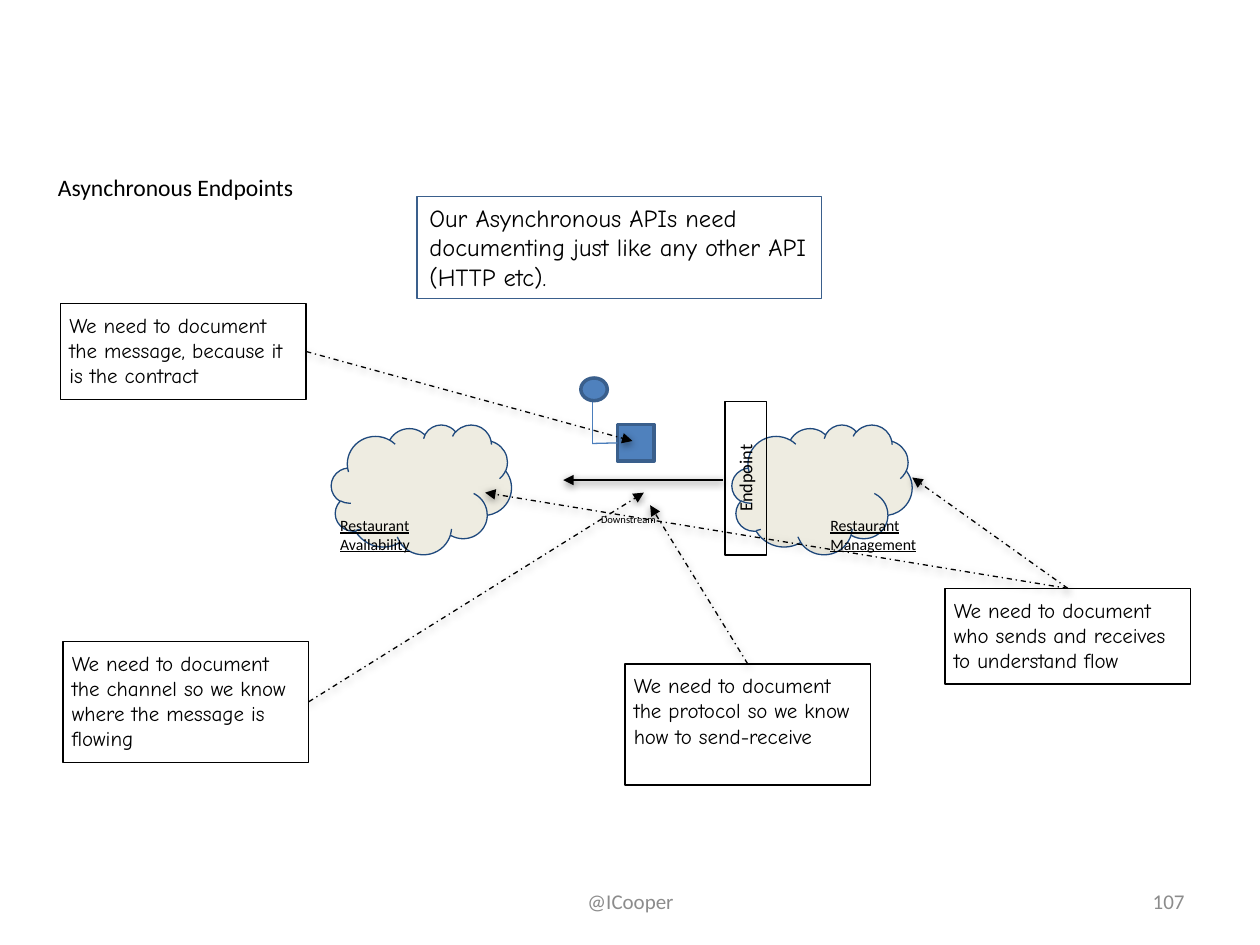
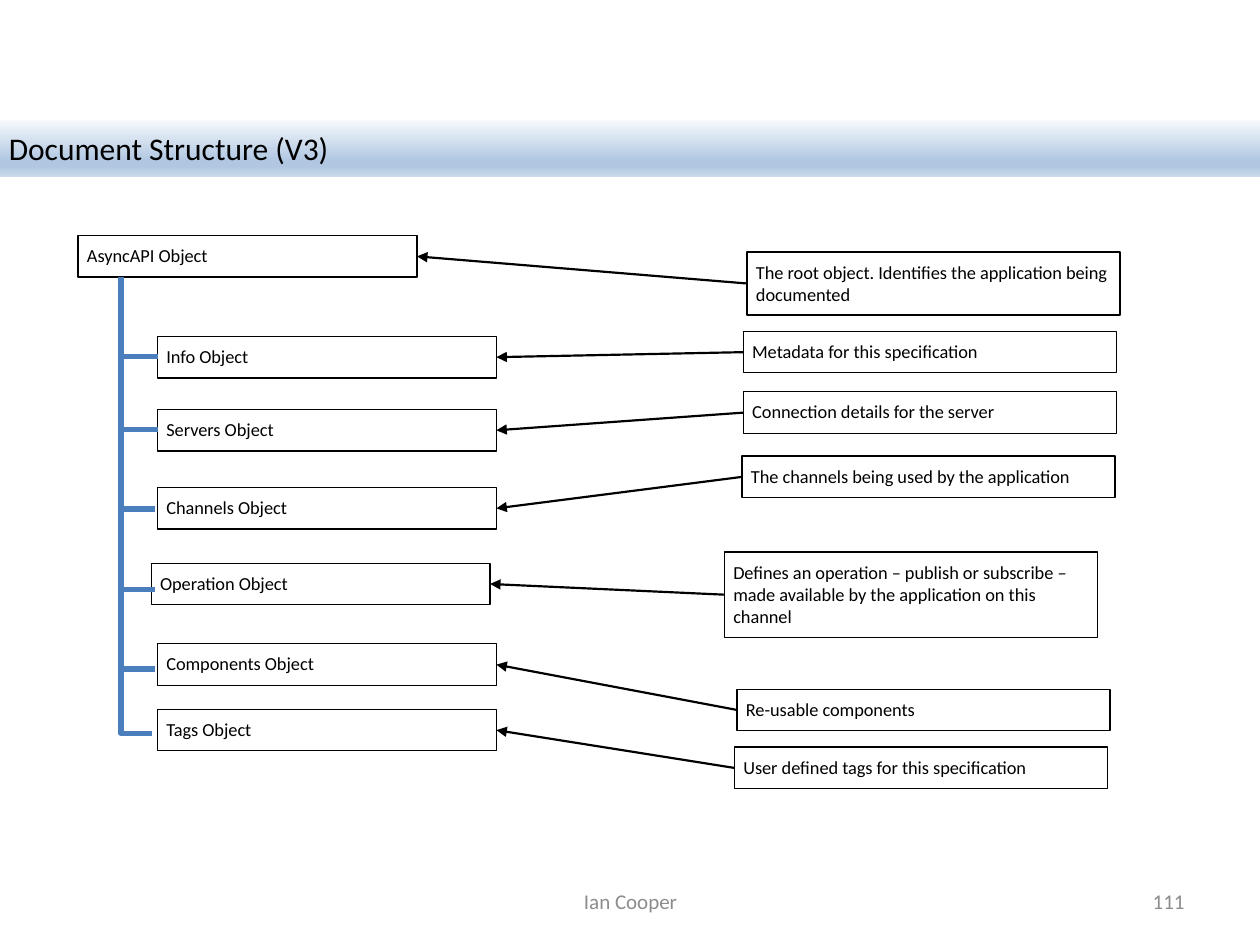
from lxml import etree
from pptx import Presentation
from pptx import util as u
from pptx.dml.color import RGBColor
from pptx.enum import dml, shapes, text
from pptx.oxml import ns

PX = 9144
BLACK = RGBColor(0x00, 0x00, 0x00)
GREY = RGBColor(0x8C, 0x8C, 0x8C)
BLUE = RGBColor(0x4F, 0x81, 0xBD)
BLUE_EDGE = RGBColor(0x3A, 0x5F, 0x8C)
BLUE_LINE = RGBColor(0x4B, 0x7E, 0xBC)
NAVY = RGBColor(0x1F, 0x49, 0x7D)
CREAM = RGBColor(0xEE, 0xEC, 0xE1)
BAND_STOPS = [
    (0, RGBColor(0xF6, 0xF9, 0xFC)),
    (74, RGBColor(0xB0, 0xC6, 0xE1)),
    (83, RGBColor(0xB0, 0xC6, 0xE1)),
    (100, RGBColor(0xCA, 0xD9, 0xEB)),
]
RECTANGLE = shapes.MSO_SHAPE.RECTANGLE
CENTER = text.PP_ALIGN.CENTER

SMALL_INSETS = dict.fromkeys(
    ("margin_left", "margin_top", "margin_right", "margin_bottom"), 7 * PX)
FOOTER_FRAME = {"vertical_anchor": text.MSO_ANCHOR.MIDDLE}

TITLE = {"name": "Calibri", "size": u.Pt(13.5)}
BAND_TITLE = {"name": "Calibri", "size": u.Pt(18)}
LABEL = {"name": "Calibri", "size": u.Pt(10.5)}
CONTEXT_LABEL = {"name": "Calibri", "size": u.Pt(9), "underline": True}
TINY_LABEL = {"name": "Calibri", "size": u.Pt(6)}
FOOTER = {"name": "Calibri", "size": u.Pt(12)}
NOTE = {"name": "Comic Neue", "size": u.Pt(12)}
HEADLINE = {"name": "Comic Neue", "size": u.Pt(14)}

THIN = {"width": u.Pt(0.75)}
MESSAGE_EDGE = {"width": u.Pt(2)}
HEADLINE_EDGE = {"width": u.Pt(1)}
FLOW = {"width": u.Pt(1.5)}
POINTER = {"width": u.Pt(0.75), "dash_style": dml.MSO_LINE.DASH_DOT}
MEANING_ARROW = {"width": u.Pt(1.25)}
BRANCH = {"width": u.Pt(3)}


def apply_format(target, values):
    for name, value in values.items():
        setattr(target, name, value)


def add_element(parent, tag, **attributes):
    return etree.SubElement(parent, ns.qn(tag), attributes)


def write_text(shape, words, font_format, color=BLACK, frame_format=SMALL_INSETS,
               align=text.PP_ALIGN.LEFT):
    frame = shape.text_frame
    apply_format(frame, {"word_wrap": True, "vertical_anchor": text.MSO_ANCHOR.TOP,
                         **frame_format})
    paragraph = frame.paragraphs[0]
    paragraph.alignment = align
    run = paragraph.add_run()
    run.text = words
    apply_format(run.font, font_format)
    run.font.color.rgb = color


def add_text(slide, bounds, words, font_format, **options):
    box = slide.shapes.add_textbox(*(n * PX for n in bounds))
    write_text(box, words, font_format, **options)


def add_shape(slide, kind, bounds, fill=None, edge=BLACK, edge_format=THIN):
    shape = slide.shapes.add_shape(kind, *(n * PX for n in bounds))
    shape.shadow.inherit = False
    if fill is None:
        shape.fill.background()
    else:
        shape.fill.solid()
        shape.fill.fore_color.rgb = fill
    shape.line.color.rgb = edge
    apply_format(shape.line, edge_format)
    return shape


def add_box(slide, bounds, words, font_format, **options):
    box = add_shape(slide, RECTANGLE, bounds)
    write_text(box, words, font_format, **options)
    return box


def add_line(slide, start, end, line_format, color=BLACK, arrow=False, shadow=False,
             kind=shapes.MSO_CONNECTOR.STRAIGHT):
    connector = slide.shapes.add_connector(kind, *(n * PX for n in (*start, *end)))
    connector.line.color.rgb = color
    apply_format(connector.line, line_format)
    properties = connector._element.spPr
    if arrow:
        add_element(properties.find(ns.qn("a:ln")), "a:tailEnd", type="triangle")
    effects = add_element(properties, "a:effectLst")
    if shadow:
        outer = add_element(effects, "a:outerShdw", blurRad=str(u.Pt(4.5)),
                            dist=str(u.Pt(1.5)), dir="5400000", rotWithShape="0")
        shade = add_element(outer, "a:srgbClr", val=str(BLACK))
        add_element(shade, "a:alpha", val="50000")
    return connector


def add_branch(slide, start, end):
    branch = add_line(slide, start, end, BRANCH, BLUE_LINE,
                      kind=shapes.MSO_CONNECTOR.ELBOW)
    guides = branch._element.spPr.find(ns.qn("a:prstGeom")).find(ns.qn("a:avLst"))
    add_element(guides, "a:gd", name="adj1", fmla="val 0")


def add_band(slide, words):
    band = add_shape(slide, RECTANGLE, (0, 95, 1000, 45), fill=BLUE)
    band.line.fill.background()
    band.fill.gradient()
    band.fill.gradient_angle = 270
    stops = band._element.spPr.find(".//" + ns.qn("a:gsLst"))
    for stop in list(stops):
        stops.remove(stop)
    for position, color in BAND_STOPS:
        stop = add_element(stops, "a:gs", pos=str(position * 1000))
        add_element(stop, "a:srgbClr", val=str(color))
    write_text(band, words, BAND_TITLE)


def add_footer(slide, author, number):
    add_text(slide, (342, 695, 317, 40), author, FOOTER, color=GREY,
             frame_format=FOOTER_FRAME, align=CENTER)
    add_text(slide, (717, 695, 233, 40), number, FOOTER, color=GREY,
             frame_format=FOOTER_FRAME, align=text.PP_ALIGN.RIGHT)


def add_message_icon(slide):
    body = add_shape(slide, RECTANGLE, (490, 337, 29, 29), BLUE, BLUE_EDGE, MESSAGE_EDGE)
    stem = add_line(slide, (490, 352), (470, 352), THIN, BLUE_LINE)
    stem.begin_connect(body, 1)
    add_line(slide, (470, 352), (470, 318), THIN, BLUE_LINE)
    add_shape(slide, shapes.MSO_SHAPE.OVAL, (461, 300, 21, 18), BLUE, BLUE_EDGE,
              MESSAGE_EDGE)


def build_endpoints(slide):
    add_text(slide, (39, 130, 649, 38), "Asynchronous Endpoints", TITLE)
    for left in (263, 581):
        add_shape(slide, shapes.MSO_SHAPE.CLOUD, (left, 337, 143, 103), CREAM, NAVY)
    for left, width, words in ((263, 84, "Restaurant Availability"),
                               (652, 98, "Restaurant Management")):
        add_text(slide, (left, 402, width, 45), words, CONTEXT_LABEL)
    add_text(slide, (470, 402, 62, 25), "Downstream", TINY_LABEL)
    add_line(slide, (574, 381), (447, 381), FLOW, arrow=True, shadow=True)
    endpoint = add_box(slide, (531, 363, 122, 33), "Endpoint", LABEL, align=CENTER)
    endpoint.rotation = 270
    add_message_icon(slide)

    headline = add_shape(slide, RECTANGLE, (331, 156, 321, 81), edge=BLUE_EDGE,
                         edge_format=HEADLINE_EDGE)
    write_text(headline, "Our Asynchronous APIs need documenting just like any other "
               "API (HTTP etc).", HEADLINE, frame_format={})

    notes = [
        ((48, 241, 195, 76), "the message, because it is the contract", 3, [(502, 350)]),
        ((50, 509, 195, 96), "the channel so we know where the message is flowing", 3,
         [(511, 391)]),
        ((496, 527, 195, 96), "the protocol so we know how to send-receive", 0,
         [(516, 401)]),
        ((750, 467, 195, 76), "who sends and receives to understand flow", 0,
         [(724, 379), (385, 391)]),
    ]
    for bounds, subject, side, targets in notes:
        note = add_box(slide, bounds, "We need to document " + subject, NOTE)
        for target in targets:
            pointer = add_line(slide, bounds[:2], target, POINTER, arrow=True, shadow=True)
            pointer.begin_connect(note, side)
    add_footer(slide, "@ICooper", "107")


def build_structure(slide):
    add_band(slide, "Document Structure (V3)")
    rows = [
        ("AsyncAPI", 62, 187, 593, 200, 50,
         "The root object. Identifies the application being documented"),
        ("Info", 125, 267, 590, 263, 33, "Metadata for this specification"),
        ("Servers", 125, 325, 590, 311, 33, "Connection details for the server"),
        ("Channels", 125, 387, 589, 362, 33, "The channels being used by the application"),
        ("Operation", 120, 447, 575, 438, 68, "Defines an operation – publish or "
         "subscribe – made available by the application on this channel"),
        ("Components", 125, 511, 585, 547, 33, "Re-usable components"),
        ("Tags", 125, 563, 583, 593, 33, "User defined tags for this specification"),
    ]
    for name, left, top, meaning_left, meaning_top, height, meaning in rows:
        item = add_box(slide, (left, top, 269, 33), name + " Object", LABEL)
        explanation = add_box(slide, (meaning_left, meaning_top, 296, height), meaning, LABEL)
        arrow = add_line(slide, (meaning_left, meaning_top), (left, top), MEANING_ARROW,
                         arrow=True)
        arrow.begin_connect(explanation, 1)
        arrow.end_connect(item, 3)
    for end in ((125, 283), (125, 341), (123, 404), (123, 468), (123, 531), (121, 582)):
        add_branch(slide, (96, 220), end)
    add_footer(slide, "Ian Cooper", "111")


def main():
    presentation = Presentation()
    presentation.slide_width = 1000 * PX
    presentation.slide_height = 750 * PX
    blank = presentation.slide_layouts[6]
    for build in (build_endpoints, build_structure):
        build(presentation.slides.add_slide(blank))
    presentation.save("out.pptx")


if __name__ == "__main__":
    main()
